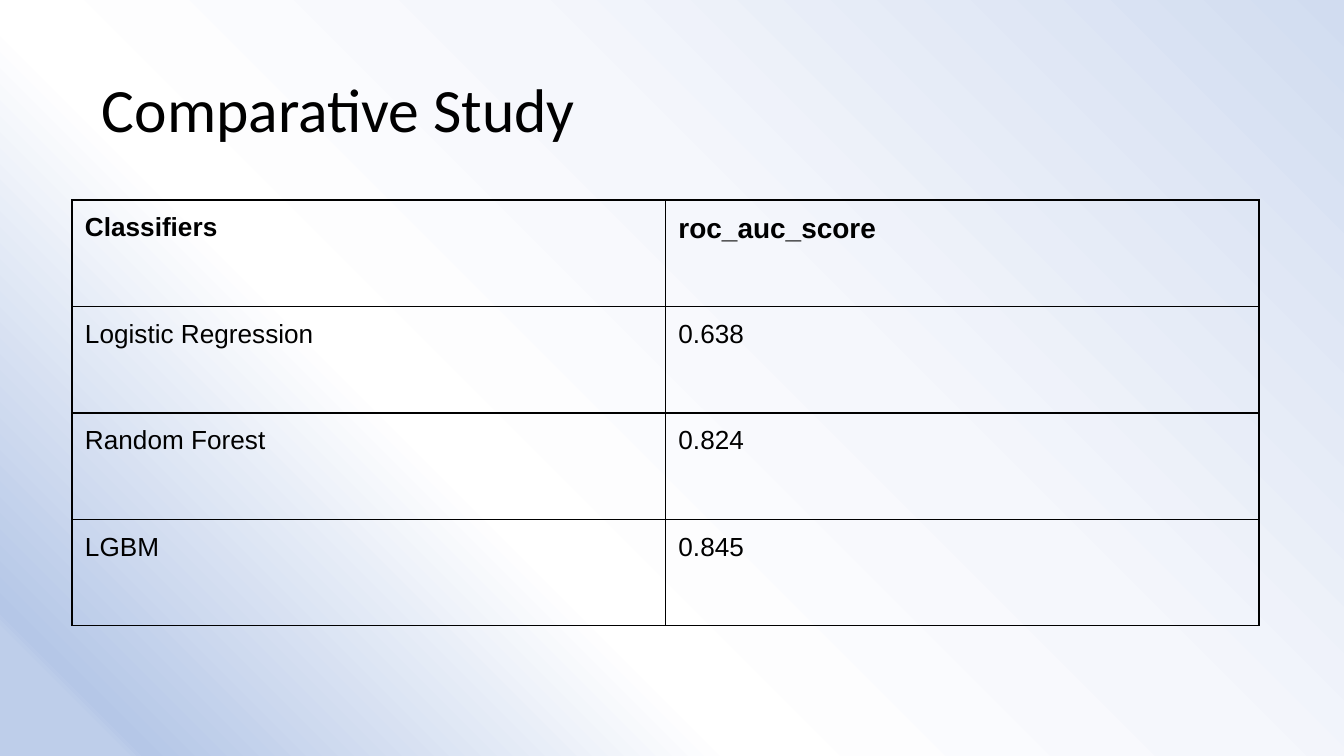
from pptx import Presentation
from pptx.dml.color import RGBColor
from pptx.enum.text import MSO_ANCHOR as Anchor
from pptx.oxml import parse_xml
from pptx.oxml.ns import nsdecls, qn
from pptx.util import Pt

EMU_PER_PX = 914400 / 134.4
BLACK = "000000"
BACKDROP_STOPS = [
    (0, "BECEEA"), (6, "BECEEA"), (7, "B5C7E7"),
    (35, "FFFFFF"), (60, "F5F7FC"), (100, "D1DCF0"),
]
SCORES = [
    ("Classifiers", "roc_auc_score"),
    ("Logistic Regression", "0.638"),
    ("Random Forest", "0.824"),
    ("LGBM", "0.845"),
]


def px(length):
    return round(length * EMU_PER_PX)


def color(hex_value):
    return RGBColor.from_string(hex_value)


def write(frame, text, size, font="Arial", bold=False, fill=BLACK, spacing=None):
    frame.word_wrap = True
    paragraph = frame.paragraphs[0]
    paragraph.line_spacing = spacing
    run = paragraph.add_run()
    run.text = text
    run.font.size = Pt(size)
    run.font.name = font
    run.font.bold = bold
    run.font.color.rgb = color(fill)


def set_margins(holder, across, down):
    holder.margin_left = holder.margin_right = px(across)
    holder.margin_top = holder.margin_bottom = px(down)


def paint_backdrop(slide):
    slide.background.fill.solid()
    backdrop = slide.element.find(".//" + qn("p:bgPr"))
    stops = "".join(
        f'<a:gs pos="{percent * 1000}"><a:srgbClr val="{shade}"/></a:gs>'
        for percent, shade in BACKDROP_STOPS
    )
    gradient = parse_xml(
        f'<a:gradFill {nsdecls("a")} rotWithShape="1"><a:gsLst>{stops}</a:gsLst>'
        '<a:path path="circle"><a:fillToRect t="100000" r="100000"/></a:path>'
        "</a:gradFill>"
    )
    backdrop.replace(backdrop[0], gradient)


def add_title(slide, text):
    title = slide.shapes.add_textbox(px(93), px(40), px(1159), px(146))
    frame = title.text_frame
    frame.vertical_anchor = Anchor.MIDDLE
    set_margins(frame, 9, 5)
    write(frame, text, size=33, font="Calibri", spacing=0.9)


def outline_cell(cell, shade=BLACK, width=0.75):
    properties = cell._tc.get_or_add_tcPr()
    for position, side in enumerate(("lnL", "lnR", "lnT", "lnB")):
        border = parse_xml(
            f'<a:{side} {nsdecls("a")} w="{Pt(width)}"><a:solidFill>'
            f'<a:srgbClr val="{shade}"/></a:solidFill></a:{side}>'
        )
        properties.insert(position, border)


def add_score_table(slide, rows):
    frame = slide.shapes.add_table(
        len(rows), len(rows[0]), px(72), px(200), px(1187), px(426)
    )
    table = frame.table
    table.first_row = table.horz_banding = False
    for row, entries in enumerate(rows):
        for column, entry in enumerate(entries):
            cell = table.cell(row, column)
            set_margins(cell, 13, 13)
            cell.fill.background()
            outline_cell(cell)
            is_header = row == 0
            size = 15 if is_header and column == 1 else 14
            write(cell.text_frame, entry, size=size, bold=is_header)


def main():
    deck = Presentation()
    deck.slide_width, deck.slide_height = px(1344), px(756)
    slide = deck.slides.add_slide(deck.slide_layouts[6])
    paint_backdrop(slide)
    add_title(slide, "Comparative Study")
    add_score_table(slide, SCORES)
    deck.save("out.pptx")


if __name__ == "__main__":
    main()
